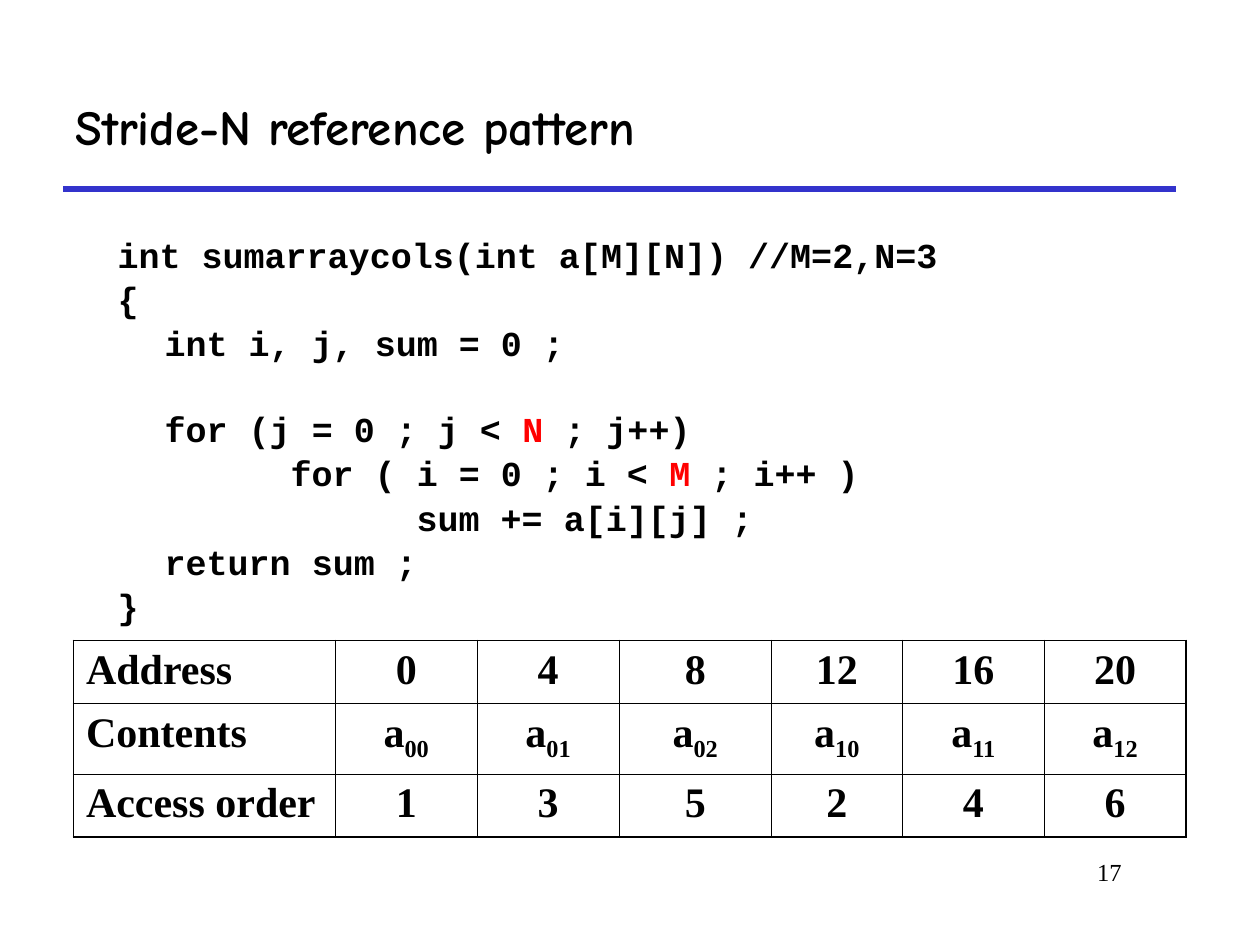
from lxml.etree import SubElement
from pptx import Presentation
from pptx.dml.color import RGBColor
from pptx.enum.shapes import MSO_CONNECTOR as Conn
from pptx.enum.text import MSO_ANCHOR as Anchor, PP_ALIGN as Align
from pptx.oxml.ns import qn
from pptx.util import Cm, Pt

BLACK, RED, BLUE = "000000", "FF0000", "3333CC"
SERIF, MONO, COMIC = "Times New Roman", "Courier New", "Comic Neue"

TITLE = "Stride-N reference pattern"
PAGE = "17"
# indent level, space before in points, runs
CODE = [
    (0, 0, [("int sumarraycols(int a[M][N]) //M=2,N=3", BLACK)]),
    (0, 6, [("{", BLACK)]),
    (1, 6, [("int i, j, sum = 0 ;", BLACK)]),
    (1, 30, [("for (j = 0 ; j < ", BLACK), ("N", RED), (" ; j++)", BLACK)]),
    (2, 6, [("for ( i = 0 ; i < ", BLACK), ("M", RED), (" ; i++ )", BLACK)]),
    (3, 6, [("sum += a[i][j] ;", BLACK)]),
    (1, 6, [("return sum ;", BLACK)]),
    (0, 6, [("}", BLACK)]),
]
INDENTS = [0, 0.95, 3.49, 6.03]
ACCESS = [
    ("Address", ["0", "4", "8", "12", "16", "20"]),
    ("Contents", ["00", "01", "02", "10", "11", "12"]),
    ("Access order", ["1", "3", "5", "2", "4", "6"]),
]
COLS = [5.28, 2.86, 2.86, 3.07, 2.64, 2.86, 2.86]
ROWS = [1.27, 1.42, 1.27]
INNER, OUTER = 0.45, 1.08


def color(value):
    return RGBColor.from_string(value)


def add_run(p, text, font, size, bold=True, ink=BLACK, baseline=0):
    r = p.add_run()
    r.text = text
    r.font.name, r.font.size, r.font.bold = font, Pt(size), bold
    r.font.color.rgb = color(ink)
    if baseline:
        r.font._element.set("baseline", str(baseline))


def add_box(s, left, top, width, height, anchor=Anchor.TOP):
    sp = s.shapes.add_textbox(Cm(left), Cm(top), Cm(width), Cm(height))
    tf = sp.text_frame
    tf.word_wrap = True
    tf.vertical_anchor = anchor
    return tf


def add_borders(cell, widths):
    tcPr = cell._tc.get_or_add_tcPr()
    for i, (side, width) in enumerate(widths.items()):
        ln = SubElement(tcPr, qn(f"a:{side}"), w=str(Pt(width)))
        fill = SubElement(ln, qn("a:solidFill"))
        SubElement(fill, qn("a:srgbClr"), val=BLACK)
        tcPr.remove(ln)
        tcPr.insert(i, ln)


def add_rule(s):
    line = s.shapes.add_connector(Conn.STRAIGHT, Cm(1.27), Cm(3.81), Cm(23.7), Cm(3.81))
    line.line.color.rgb = color(BLUE)
    line.line.width = Pt(3)
    SubElement(line._element.spPr, qn("a:effectLst"))


def add_code(s):
    tf = add_box(s, 2.12, 4.45, 22.01, 8.05)
    tf.margin_top = Cm(0.25)
    for i, (level, before, runs) in enumerate(CODE):
        p = tf.add_paragraph() if i else tf.paragraphs[0]
        p._p.get_or_add_pPr().set("marL", str(Cm(INDENTS[level])))
        if i:
            p.line_spacing = 0.8
            p.space_before = Pt(before)
        for text, ink in runs:
            add_run(p, text, MONO, 20, ink=ink)


def add_access_table(s):
    last_row, last_col = len(ROWS) - 1, len(COLS) - 1
    frame = s.shapes.add_table(len(ROWS), len(COLS), Cm(1.48), Cm(12.91), Cm(sum(COLS)), Cm(sum(ROWS)))
    table = frame.table
    table.first_row = table.horz_banding = False
    for col, width in zip(table.columns, COLS):
        col.width = Cm(width)
    for row, height in zip(table.rows, ROWS):
        row.height = Cm(height)
    for i, (label, values) in enumerate(ACCESS):
        for j, text in enumerate([label] + values):
            cell = table.cell(i, j)
            cell.fill.background()
            p = cell.text_frame.paragraphs[0]
            p.alignment = Align.CENTER if j else Align.LEFT
            if label == "Contents" and j:
                add_run(p, "a", SERIF, 24)
                add_run(p, text, SERIF, 24, baseline=-25000)
            else:
                add_run(p, text, SERIF, 24)
            edges = {"lnL": j == 0, "lnR": j == last_col, "lnT": i == 0, "lnB": i == last_row}
            add_borders(cell, {side: OUTER if edge else INNER for side, edge in edges.items()})


def main():
    prs = Presentation()
    prs.slide_width, prs.slide_height = Cm(25.4), Cm(19.05)
    s = prs.slides.add_slide(prs.slide_layouts[6])
    add_rule(s)
    p = add_box(s, 19.26, 17.15, 3.6, 1.27).paragraphs[0]
    p.alignment = Align.RIGHT
    add_run(p, PAGE, SERIF, 14, bold=False)
    title = add_box(s, 1.27, 1.27, 22.43, 2.54, Anchor.MIDDLE)
    add_run(title.paragraphs[0], TITLE, COMIC, 28)
    add_code(s)
    add_access_table(s)
    prs.save("out.pptx")


if __name__ == "__main__":
    main()
